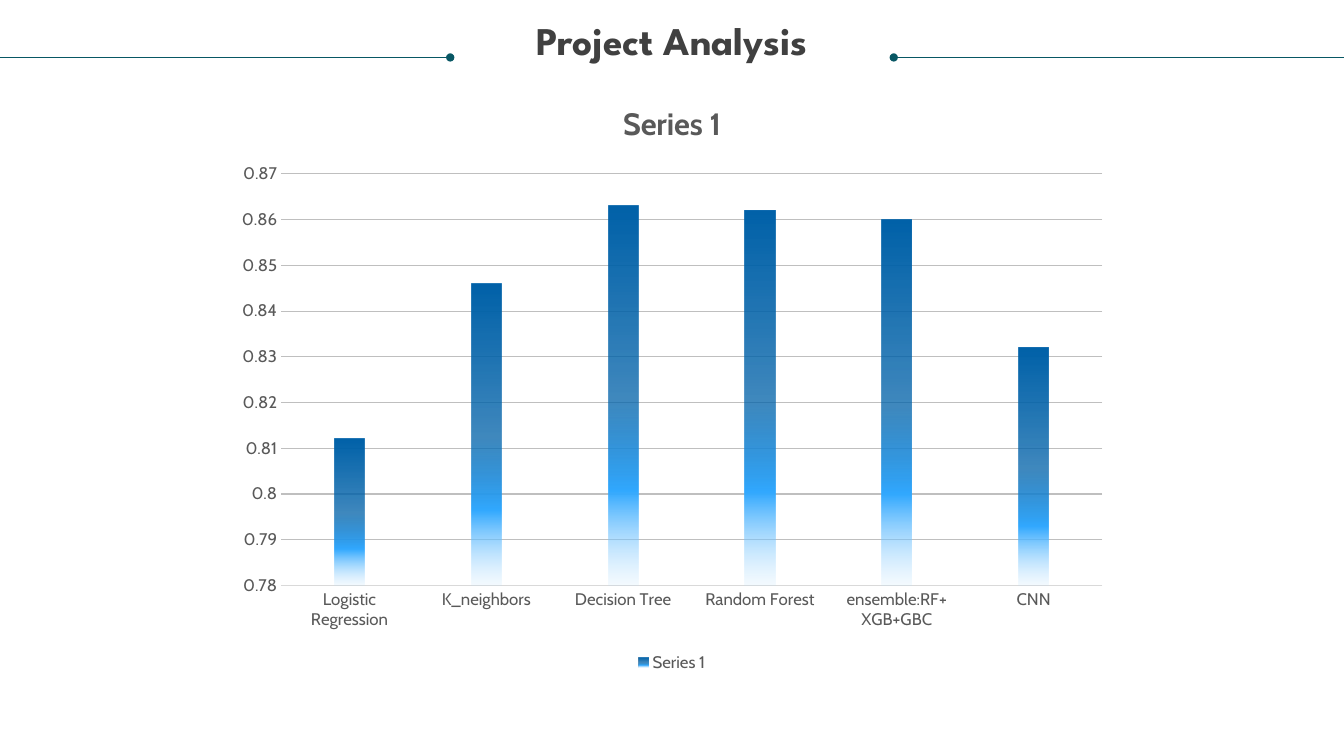
from typing import NamedTuple

from lxml.etree import SubElement
from pptx import Presentation
from pptx.chart.data import CategoryChartData
from pptx.dml.color import RGBColor
from pptx.enum.chart import XL_CHART_TYPE as ChartType
from pptx.enum.chart import XL_LEGEND_POSITION as LegendPosition
from pptx.enum.chart import XL_TICK_MARK as TickMark
from pptx.enum.shapes import MSO_CONNECTOR as Connector
from pptx.enum.text import MSO_ANCHOR as Anchor
from pptx.enum.text import PP_ALIGN as Align
from pptx.oxml.ns import qn
from pptx.util import Inches, Pt

WIDTH, HEIGHT = Inches(13.33), Inches(7.5)
HEADING_FONT, BODY_FONT = "League Spartan", "Cabin"
TEAL, DARK, GREY = "085764", "404040", "595959"
GRID, BASELINE = "BFBFBF", "D9D9D9"


class Rule(NamedTuple):
    """Horizontal heading rule; ends are shares of the slide width."""
    start: float
    end: float
    dotted_end: str


class Stop(NamedTuple):
    """Gradient stop; position and opacity in percent."""
    position: int
    color: str
    opacity: int = 100


RULES = [Rule(0.665, 1, "headEnd"), Rule(0, 0.335, "tailEnd")]
RULE_HEIGHT = 0.076
BAR_STOPS = [Stop(0, "0062A9"), Stop(51, "0062A9", 75),
             Stop(75, "32A9FF"), Stop(100, "BBE2FF", 15)]
SCORES = {
    "Logistic Regression": 0.812,
    "K_neighbors": 0.846,
    "Decision Tree": 0.863,
    "Random Forest": 0.862,
    "ensemble:RF+ XGB+GBC": 0.86,
    "CNN": 0.832,
}


def rgb(color: str) -> RGBColor:
    return RGBColor.from_string(color)


def across(share: float) -> int:
    return round(WIDTH * share)


def down(share: float) -> int:
    return round(HEIGHT * share)


def style_font(font, size: float, color: str, name: str = BODY_FONT, bold: bool = False) -> None:
    font.size, font.name, font.bold = Pt(size), name, bold
    font.color.rgb = rgb(color)


def style_line(line, color: str, points: float) -> None:
    line.color.rgb = rgb(color)
    line.width = Pt(points)


def draw_rule(shapes, rule: Rule) -> None:
    y = down(RULE_HEIGHT)
    line = shapes.add_connector(Connector.STRAIGHT, across(rule.start), y, across(rule.end), y)
    style_line(line.line, TEAL, 0.5)
    SubElement(line.line._get_or_add_ln(), qn(f"a:{rule.dotted_end}"), type="oval")
    SubElement(line._element.spPr, qn("a:effectLst"))


def fill_gradient(series, stops: list[Stop]) -> None:
    series.format.fill.gradient()
    series.format.fill.gradient_angle = 270
    stop_list = series._element.spPr.find(qn("a:gradFill")).find(qn("a:gsLst"))
    for default in list(stop_list):
        stop_list.remove(default)
    for stop in stops:
        mark = SubElement(stop_list, qn("a:gs"), pos=str(stop.position * 1000))
        color = SubElement(mark, qn("a:srgbClr"), val=stop.color)
        if stop.opacity < 100:
            SubElement(color, qn("a:alpha"), val=str(stop.opacity * 1000))


def draw_scores(shapes) -> None:
    data = CategoryChartData()
    data.categories = list(SCORES)
    data.add_series("Series 1", list(SCORES.values()))
    chart = shapes.add_chart(ChartType.COLUMN_CLUSTERED, across(1 / 6), down(0.105),
                             across(2 / 3), down(0.79), data).chart
    style_font(chart.font, 12, GREY)

    # Chart title and legend
    chart.has_title = True
    chart.chart_title.include_in_layout = False
    caption = chart.chart_title.text_frame
    caption.text = "Series 1"
    style_font(caption.paragraphs[0].font, 22, GREY, bold=True)
    chart.has_legend = True
    chart.legend.position = LegendPosition.BOTTOM
    chart.legend.include_in_layout = False
    style_font(chart.legend.font, 12, GREY)

    # Axes
    models, accuracy = chart.category_axis, chart.value_axis
    for axis in (models, accuracy):
        axis.major_tick_mark = axis.minor_tick_mark = TickMark.NONE
        style_font(axis.tick_labels.font, 12, GREY)
    style_line(models.format.line, BASELINE, 0.75)
    accuracy.format.line.fill.background()
    accuracy.minimum_scale, accuracy.maximum_scale, accuracy.major_unit = 0.78, 0.87, 0.01
    accuracy.has_major_gridlines = True
    style_line(accuracy.major_gridlines.format.line, GRID, 0.75)

    # Bars
    bars = chart.plots[0]
    bars.gap_width, bars.overlap, bars.vary_by_categories = 355, -70, False
    fill_gradient(bars.series[0], BAR_STOPS)


def draw_heading(shapes) -> None:
    heading = shapes.add_textbox(across(0.019), down(0.028), across(0.962), down(0.113)).text_frame
    heading.word_wrap = True
    heading.vertical_anchor = Anchor.TOP
    heading.margin_left = heading.margin_right = heading.margin_top = heading.margin_bottom = 0
    line = heading.paragraphs[0]
    line.text = "Project Analysis"
    line.alignment, line.line_spacing = Align.CENTER, 0.9
    style_font(line.font, 28, DARK, HEADING_FONT, bold=True)


deck = Presentation()
deck.slide_width, deck.slide_height = WIDTH, HEIGHT
slide = deck.slides.add_slide(deck.slide_layouts[6])

# Heading between two rules
draw_heading(slide.shapes)
for heading_rule in RULES:
    draw_rule(slide.shapes, heading_rule)

# Model scores
draw_scores(slide.shapes)

deck.save("out.pptx")
